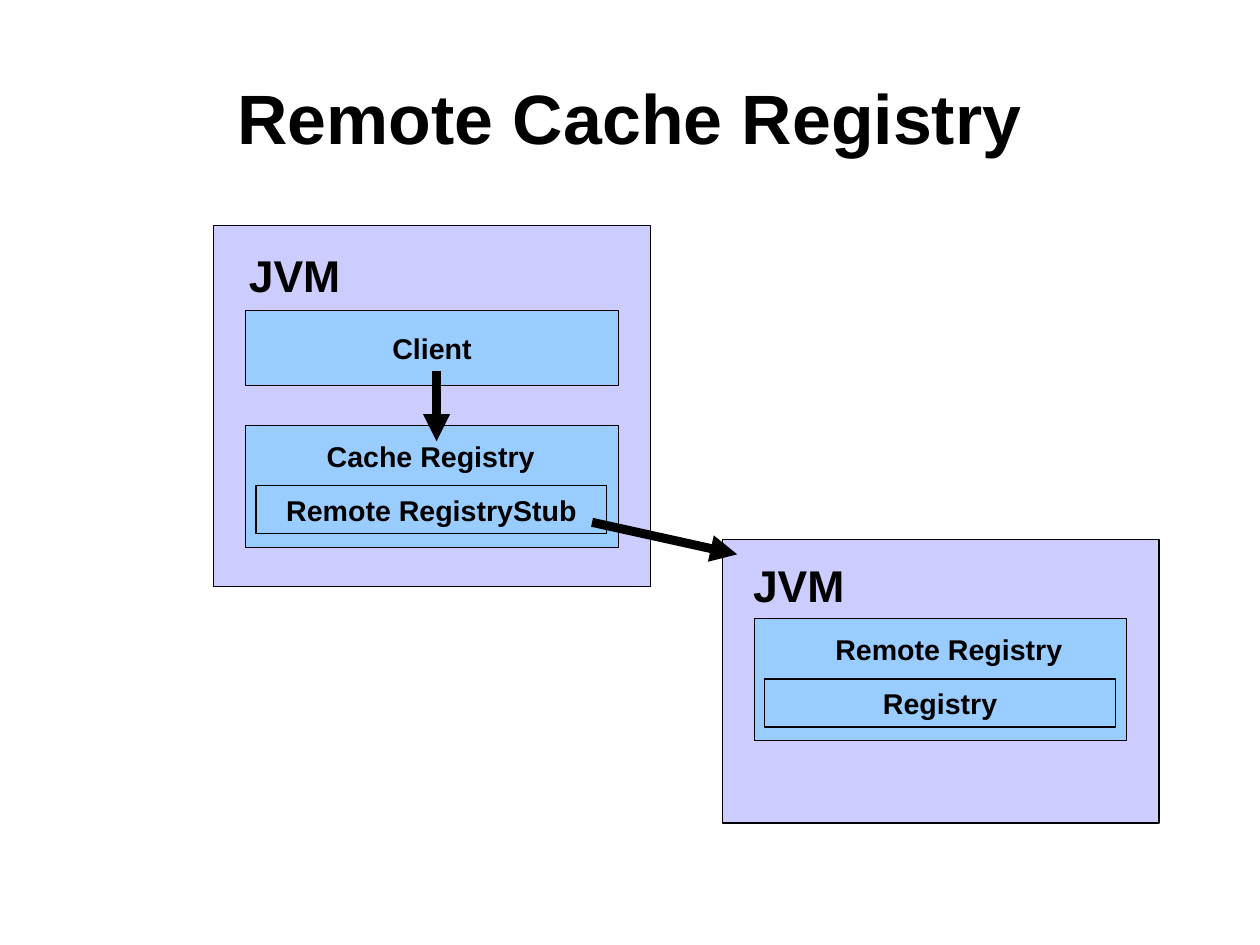
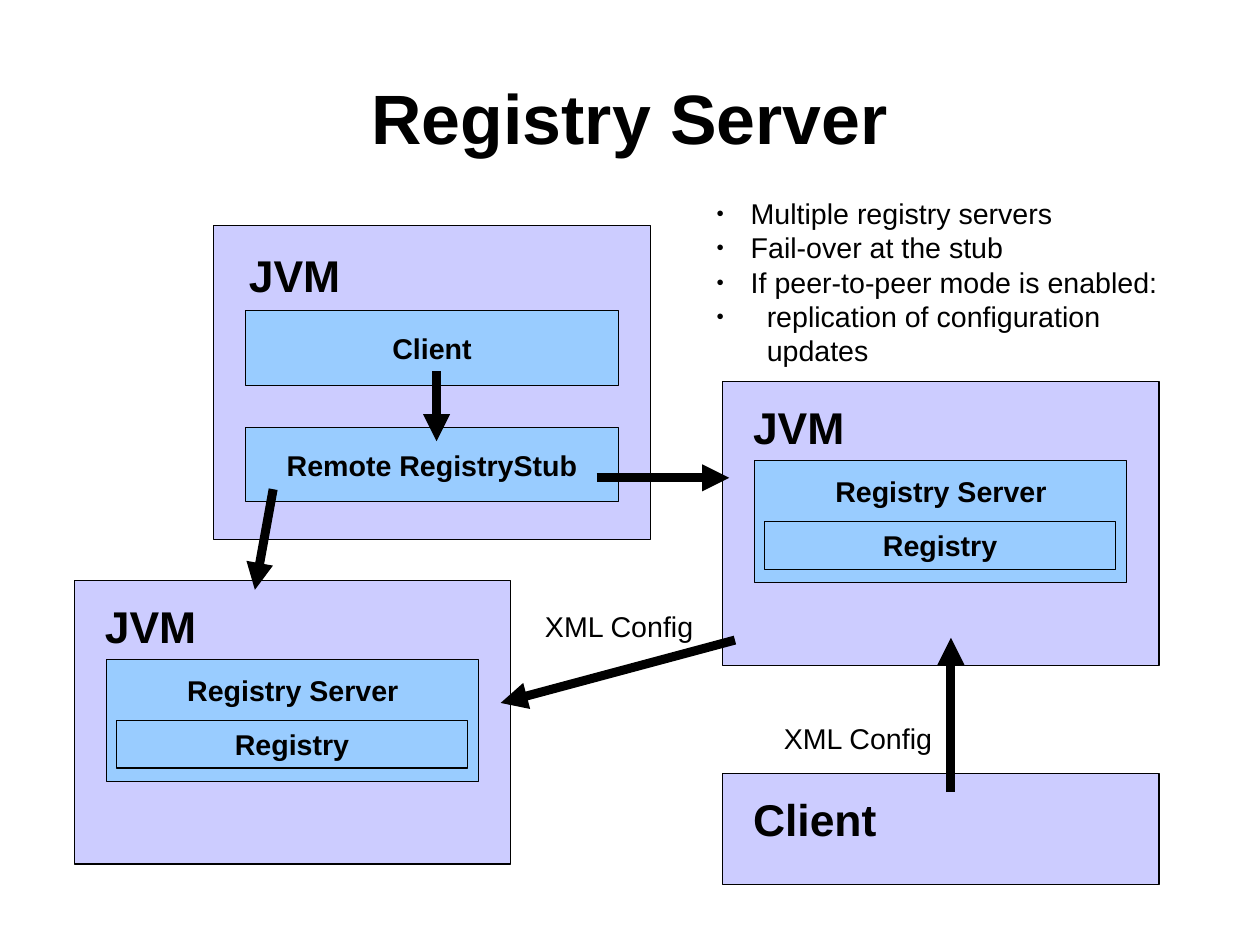
from dataclasses import dataclass
from lxml import etree
from pptx import Presentation
from pptx.dml.color import RGBColor
from pptx.enum.shapes import MSO_CONNECTOR, MSO_SHAPE
from pptx.enum.text import MSO_ANCHOR, MSO_AUTO_SIZE, PP_ALIGN
from pptx.oxml.ns import qn
from pptx.util import Cm, Inches, Pt


@dataclass(frozen=True)
class Theme:
    font: str = "Arial"
    ink: RGBColor = RGBColor(0, 0, 0)
    machine: RGBColor = RGBColor(0xCC, 0xCC, 0xFF)
    component: RGBColor = RGBColor(0x99, 0xCC, 0xFF)
    title: float = 44
    heading: float = 28
    body: float = 18
    bullet_pitch: float = 21.7
    arrow: float = 5.67
    outline: float = 0


THEME = Theme()
SLIDE_W, SLIDE_H = Cm(28), Cm(21)
TITLE_BOX = [0.05 * SLIDE_W.inches, 0.04 * SLIDE_H.inches,
             0.9 * SLIDE_W.inches, SLIDE_H.inches / 6]

MACHINE_W = 3.82
COMPONENT_W, SIMPLE_H, NESTED_H = 3.26, 0.65, 1.07
COMPONENT_INSET = (MACHINE_W - COMPONENT_W) / 2
CORE_INSET, CORE_TOP, CORE_W, CORE_H = 0.09, 0.53, 3.07, 0.42
CAPTION_INSET, CAPTION_TOP, CAPTION_H = 0.61, 0.07, 0.39
HEADING_H = 0.54
HEADING_WIDTHS = {"JVM": 1.0, "Client": 1.28}
CAPTION_WIDTHS = {"Remote Registry": 2.2, "Cache Registry": 2.04, "Registry Server": 2.07}

LEFT, RIGHT, FAR_LEFT = 1.87, 6.32, 0.65
CALLER_TOP, SERVER_H = 1.97, 2.48
CALLER_HEADING, SERVER_HEADING = (0.21, 0.15), (0.17, 0.11)
CLIENT = (0.75, "Client", None)
CALL = ((3.82, 3.25), (3.82, 3.86))


def server(left, top, caption):
    return ("JVM", left, top, SERVER_H, SERVER_HEADING, [(0.69, caption, "Registry")])


SLIDES = [
    {
        "title": "Remote Cache Registry",
        "machines": [
            ("JVM", LEFT, CALLER_TOP, 3.16, CALLER_HEADING,
             [CLIENT, (1.75, "Cache Registry", "Remote RegistryStub")]),
            server(RIGHT, 4.72, "Remote Registry"),
        ],
        "arrows": [CALL, ((5.18, 4.57), (6.45, 4.85))],
        "labels": [],
        "bullets": [],
    },
    {
        "title": "Registry Server",
        "machines": [
            ("JVM", LEFT, CALLER_TOP, 2.75, CALLER_HEADING,
             [CLIENT, (1.77, "Remote RegistryStub", None)]),
            server(RIGHT, 3.34, "Registry Server"),
            server(FAR_LEFT, 5.08, "Registry Server"),
            ("Client", RIGHT, 6.77, 0.97, SERVER_HEADING, []),
        ],
        "arrows": [
            CALL,
            ((5.22, 4.18), (6.38, 4.18)),
            ((6.43, 5.6), (4.38, 6.15)),
            ((2.39, 4.28), (2.23, 5.16)),
            ((8.32, 6.93), (8.32, 5.58)),
        ],
        "labels": [("XML Config", 4.67, 5.28), ("XML Config", 6.76, 6.26)],
        "bullets": [
            ("Multiple registry servers", 0.3),
            ("Fail-over at the stub", 0.3),
            ("If peer-to-peer mode is enabled:", 0.3),
            ("replication of configuration updates", 0.44),
        ],
    },
]
BULLETS_BOX = (6.17, 1.66, 4.37, 1.22)


def inches(*lengths):
    return [Inches(length) for length in lengths]


def style(paragraph, size, bold=True, align=PP_ALIGN.LEFT):
    paragraph.alignment = align
    font = paragraph.font
    font.name, font.size, font.bold = THEME.font, Pt(size), bold
    font.color.rgb = THEME.ink


def add_title(slide, text):
    title = slide.shapes.title
    title.left, title.top, title.width, title.height = inches(*TITLE_BOX)
    frame = title.text_frame
    frame.text = text
    frame.vertical_anchor = MSO_ANCHOR.MIDDLE
    frame.margin_left = frame.margin_right = frame.margin_top = frame.margin_bottom = 0
    style(frame.paragraphs[0], THEME.title, align=PP_ALIGN.CENTER)


def add_box(slide, place, fill, text=None):
    box = slide.shapes.add_shape(MSO_SHAPE.RECTANGLE, *inches(*place))
    box.shadow.inherit = False
    box.fill.solid()
    box.fill.fore_color.rgb = fill
    box.line.color.rgb = THEME.ink
    box.line.width = Pt(THEME.outline)
    if text:
        box.text_frame.text = text
        box.text_frame.vertical_anchor = MSO_ANCHOR.MIDDLE
        style(box.text_frame.paragraphs[0], THEME.body, align=PP_ALIGN.CENTER)


def add_label(slide, text, place, size, bold=True):
    frame = slide.shapes.add_textbox(*inches(*place)).text_frame
    frame.word_wrap = False
    frame.auto_size = MSO_AUTO_SIZE.SHAPE_TO_FIT_TEXT
    frame.text = text
    style(frame.paragraphs[0], size, bold)


def add_component(slide, left, top, caption, core):
    if core is None:
        add_box(slide, (left, top, COMPONENT_W, SIMPLE_H), THEME.component, caption)
        return
    add_box(slide, (left, top, COMPONENT_W, NESTED_H), THEME.component)
    add_box(slide, (left + CORE_INSET, top + CORE_TOP, CORE_W, CORE_H), THEME.component, core)
    add_label(slide, caption,
              (left + CAPTION_INSET, top + CAPTION_TOP, CAPTION_WIDTHS[caption], CAPTION_H),
              THEME.body)


def add_machine(slide, heading, left, top, height, heading_offset, components):
    add_box(slide, (left, top, MACHINE_W, height), THEME.machine)
    dx, dy = heading_offset
    add_label(slide, heading, (left + dx, top + dy, HEADING_WIDTHS[heading], HEADING_H),
              THEME.heading)
    for offset, caption, core in components:
        add_component(slide, left + COMPONENT_INSET, top + offset, caption, core)


def add_arrow(slide, start, end):
    arrow = slide.shapes.add_connector(MSO_CONNECTOR.STRAIGHT, *inches(*start, *end))
    arrow.line.color.rgb = THEME.ink
    arrow.line.width = Pt(THEME.arrow)
    line = arrow._element.spPr.find(qn("a:ln"))
    etree.SubElement(line, qn("a:tailEnd"), type="triangle")
    etree.SubElement(arrow._element.spPr, qn("a:effectLst"))


def add_bullets(slide, items):
    frame = slide.shapes.add_textbox(*inches(*BULLETS_BOX)).text_frame
    frame.word_wrap = True
    for number, (text, indent) in enumerate(items):
        paragraph = frame.add_paragraph() if number else frame.paragraphs[0]
        paragraph.text = text
        style(paragraph, THEME.body, bold=False)
        paragraph.line_spacing = Pt(THEME.bullet_pitch)
        properties = paragraph._p.get_or_add_pPr()
        properties.set("marL", str(Inches(indent)))
        properties.set("indent", str(-Inches(indent)))
        marks = [
            etree.Element(qn("a:buSzPct"), val="45000"),
            etree.Element(qn("a:buFont"), typeface=THEME.font),
            etree.Element(qn("a:buChar"), char="●"),
        ]
        position = properties.index(properties.find(qn("a:defRPr")))
        properties[position:position] = marks


def main():
    deck = Presentation()
    deck.slide_width, deck.slide_height = SLIDE_W, SLIDE_H
    for content in SLIDES:
        slide = deck.slides.add_slide(deck.slide_layouts.get_by_name("Title Only"))
        add_title(slide, content["title"])
        for machine in content["machines"]:
            add_machine(slide, *machine)
        for start, end in content["arrows"]:
            add_arrow(slide, start, end)
        for text, left, top in content["labels"]:
            add_label(slide, text, (left, top, 1.5, 0.38), THEME.body, bold=False)
        if content["bullets"]:
            add_bullets(slide, content["bullets"])
    deck.save("out.pptx")


if __name__ == "__main__":
    main()
